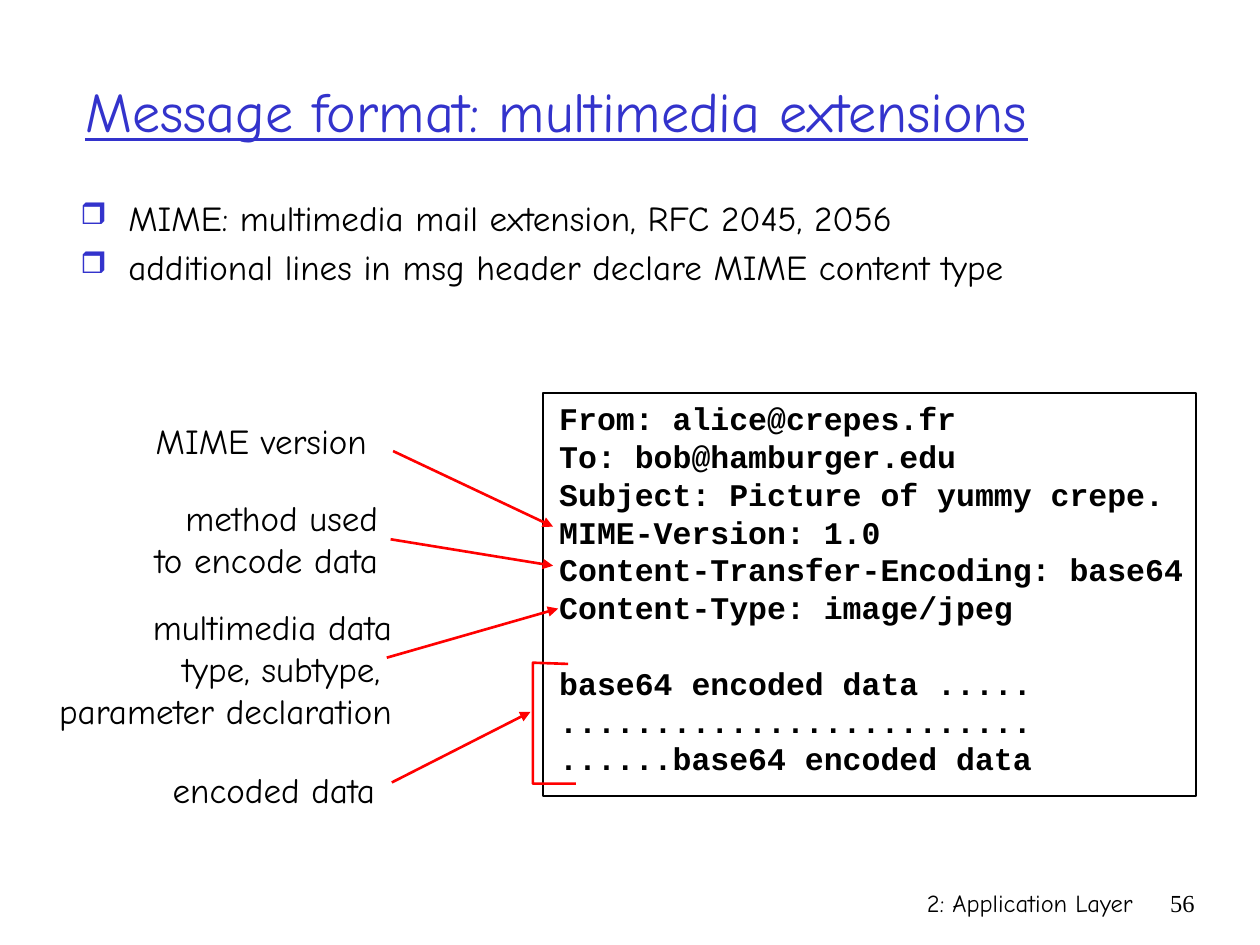
from dataclasses import dataclass

from lxml import etree
from pptx import Presentation
from pptx.dml.color import RGBColor
from pptx.enum.shapes import MSO_CONNECTOR, MSO_SHAPE
from pptx.enum.text import MSO_ANCHOR, PP_ALIGN
from pptx.oxml.ns import qn
from pptx.util import Inches, Pt

LEFT, CENTER, RIGHT = PP_ALIGN.LEFT, PP_ALIGN.CENTER, PP_ALIGN.RIGHT
TOP, MIDDLE = MSO_ANCHOR.TOP, MSO_ANCHOR.MIDDLE
STRAIGHT, RECTANGLE = MSO_CONNECTOR.STRAIGHT, MSO_SHAPE.RECTANGLE

COLUMNS, ROWS = 100, 75
SLIDE_WIDTH, SLIDE_HEIGHT = Inches(10), Inches(7.5)
BLACK, BLUE, RED = "000000", "3333CC", "FF0000"
HAND, MONO, SERIF = "Comic Neue", "Courier New", "Times New Roman"
BULLET_INDENT = Inches(0.38)


@dataclass(frozen=True)
class Area:
    column: float
    row: float
    columns: float
    rows: float


@dataclass(frozen=True)
class Style:
    size: float
    font: str = HAND
    color: str = BLACK
    bold: bool = False
    underline: bool = False
    align: PP_ALIGN = LEFT


@dataclass(frozen=True)
class Callout:
    area: Area
    lines: tuple[str, ...]
    align: PP_ALIGN
    start: tuple[float, float]
    end: tuple[float, float]


TITLE = Style(32, color=BLUE, underline=True)
BODY = Style(20)
MESSAGE = Style(18, MONO, bold=True)
FOOTER = Style(14, align=RIGHT)
PAGE_NUMBER = Style(14, SERIF, align=RIGHT)

BULLETS = (
    "MIME: multimedia mail extension, RFC 2045, 2056",
    "additional lines in msg header declare MIME content type",
)
HEADER_LINES = (
    "From: alice@crepes.fr",
    "To: bob@hamburger.edu",
    "Subject: Picture of yummy crepe.",
    "MIME-Version: 1.0",
    "Content-Transfer-Encoding: base64",
    "Content-Type: image/jpeg",
)
DATA_LINES = (
    "base64 encoded data .....",
    ".........................",
    "......base64 encoded data",
)
CALLOUTS = (
    Callout(Area(10.6, 32.8, 20.3, 4.3), ("MIME version",), CENTER,
            (31.2, 35.8), (43.9, 41.8)),
    Callout(Area(9.8, 38.9, 21.2, 7.7), ("method used", "to encode data"), RIGHT,
            (31, 42.8), (43.9, 44.9)),
    Callout(Area(1.2, 47.6, 30.9, 11),
            ("multimedia data", "type, subtype, ", "parameter declaration"), RIGHT,
            (30.7, 52.2), (44.3, 48.3)),
    Callout(Area(12.1, 60.5, 19.3, 4.3), ("encoded data",), CENTER,
            (31.1, 62.1), (42.1, 56.5)),
)
BRACKET = ((45.1, 52.7), (42.3, 52.6), (42.3, 62.2), (45.7, 62.2))


def rgb(color: str) -> RGBColor:
    return RGBColor.from_string(color)


def across(column: float) -> int:
    return round(SLIDE_WIDTH * column / COLUMNS)


def down(row: float) -> int:
    return round(SLIDE_HEIGHT * row / ROWS)


def place(area: Area) -> tuple[int, int, int, int]:
    return across(area.column), down(area.row), across(area.columns), down(area.rows)


def add_text(page, area: Area, lines: tuple[str, ...], style: Style,
             anchor: MSO_ANCHOR = TOP, wrap: bool = True) -> list:
    frame = page.shapes.add_textbox(*place(area)).text_frame
    frame.word_wrap = wrap
    frame.vertical_anchor = anchor
    paras = []
    for index, line in enumerate(lines):
        para = frame.add_paragraph() if index else frame.paragraphs[0]
        para.alignment = style.align
        span = para.add_run()
        span.text = line
        span.font.size = Pt(style.size)
        span.font.name = style.font
        span.font.bold = style.bold
        span.font.underline = style.underline
        span.font.color.rgb = rgb(style.color)
        paras.append(para)
    return paras


def add_bullet(para) -> None:
    para.space_before = Pt(4)
    properties = para._p.get_or_add_pPr()
    properties.set("marL", str(BULLET_INDENT))
    properties.set("indent", str(-BULLET_INDENT))
    color = etree.SubElement(properties, qn("a:buClr"))
    etree.SubElement(color, qn("a:srgbClr"), val=BLUE)
    etree.SubElement(properties, qn("a:buSzPct"), val="85000")
    etree.SubElement(properties, qn("a:buChar"), char="❒")


def set_line(shape, color: str, width: float) -> None:
    shape.line.color.rgb = rgb(color)
    shape.line.width = Pt(width)


def add_arrow(page, start: tuple[float, float], end: tuple[float, float]) -> None:
    arrow = page.shapes.add_connector(
        STRAIGHT, across(start[0]), down(start[1]), across(end[0]), down(end[1]))
    set_line(arrow, RED, 1.5)
    etree.SubElement(arrow.line._get_or_add_ln(), qn("a:tailEnd"), type="triangle")
    etree.SubElement(arrow._element.spPr, qn("a:effectLst"))


def add_callout(page, callout: Callout) -> None:
    style = Style(BODY.size, align=callout.align)
    add_text(page, callout.area, callout.lines, style, wrap=False)
    add_arrow(page, callout.start, callout.end)


def add_message(page) -> None:
    paras = add_text(page, Area(43.4, 31.2, 54.4, 34), HEADER_LINES + DATA_LINES, MESSAGE)
    paras[len(HEADER_LINES)].space_before = Pt(21.6)
    border = page.shapes.add_shape(RECTANGLE, *place(Area(43.1, 31.2, 51.8, 32)))
    border.shadow.inherit = False
    border.fill.background()
    set_line(border, BLACK, 1)


def add_bracket(page) -> None:
    points = [(across(column), down(row)) for column, row in BRACKET]
    builder = page.shapes.build_freeform(*points[0])
    builder.add_line_segments(points[1:], close=False)
    bracket = builder.convert_to_shape()
    bracket.shadow.inherit = False
    bracket.fill.background()
    set_line(bracket, RED, 1.5)


def main() -> None:
    deck = Presentation()
    deck.slide_width, deck.slide_height = SLIDE_WIDTH, SLIDE_HEIGHT
    page = deck.slides.add_slide(deck.slide_layouts[6])
    add_text(page, Area(59.2, 70, 31.7, 5), ("2: Application Layer",), FOOTER)
    add_text(page, Area(90.8, 70, 5, 5), ("56",), PAGE_NUMBER)
    add_text(page, Area(5.8, 2.5, 91.7, 12.5),
             ("Message format: multimedia extensions",), TITLE, MIDDLE)
    for para in add_text(page, Area(5.4, 15.1, 80.1, 50.8), BULLETS, BODY):
        add_bullet(para)
    add_message(page)
    for callout in CALLOUTS:
        add_callout(page, callout)
    add_bracket(page)
    deck.save("out.pptx")


if __name__ == "__main__":
    main()
